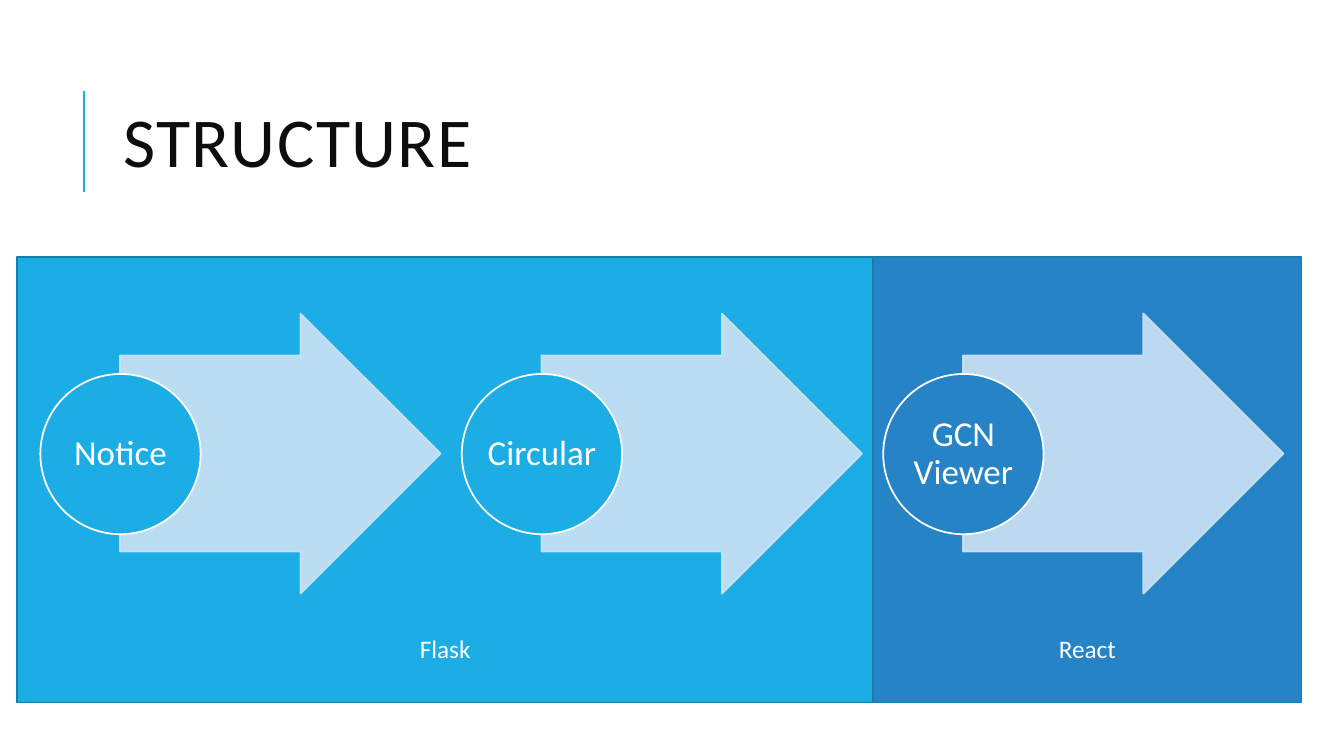
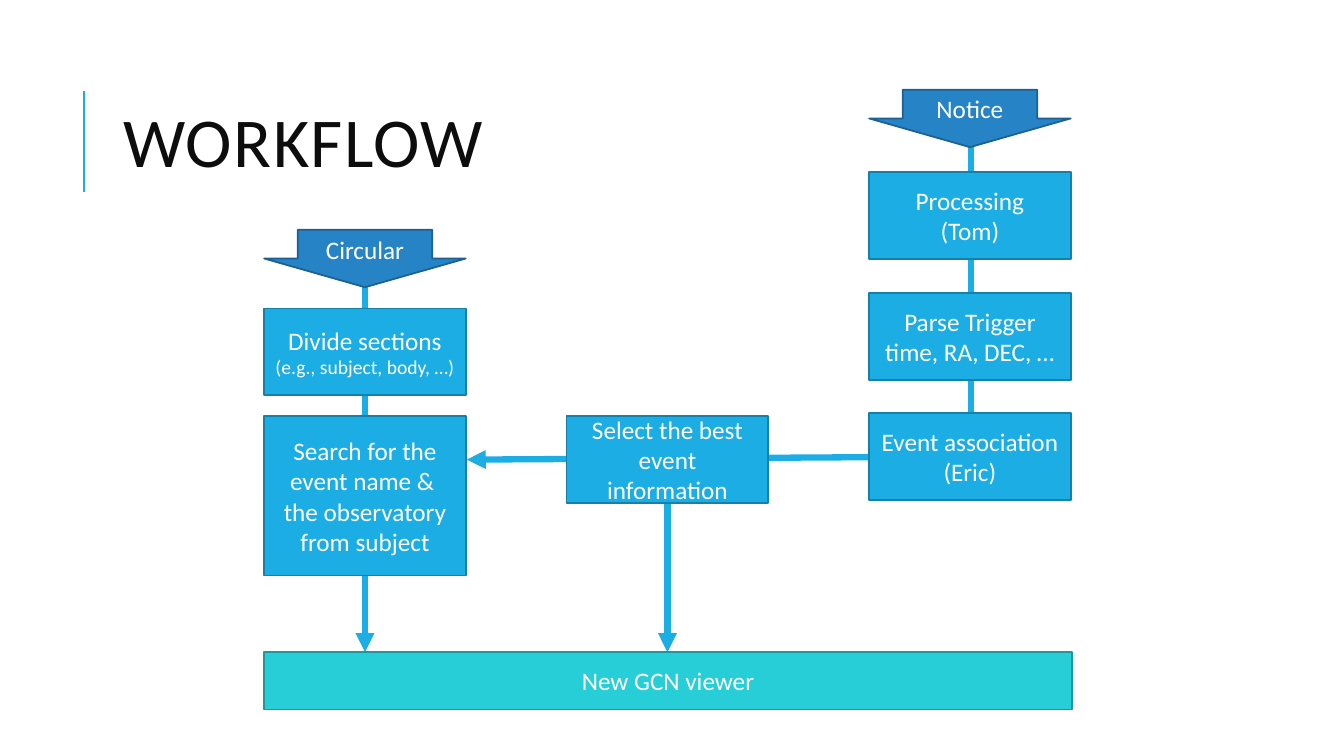
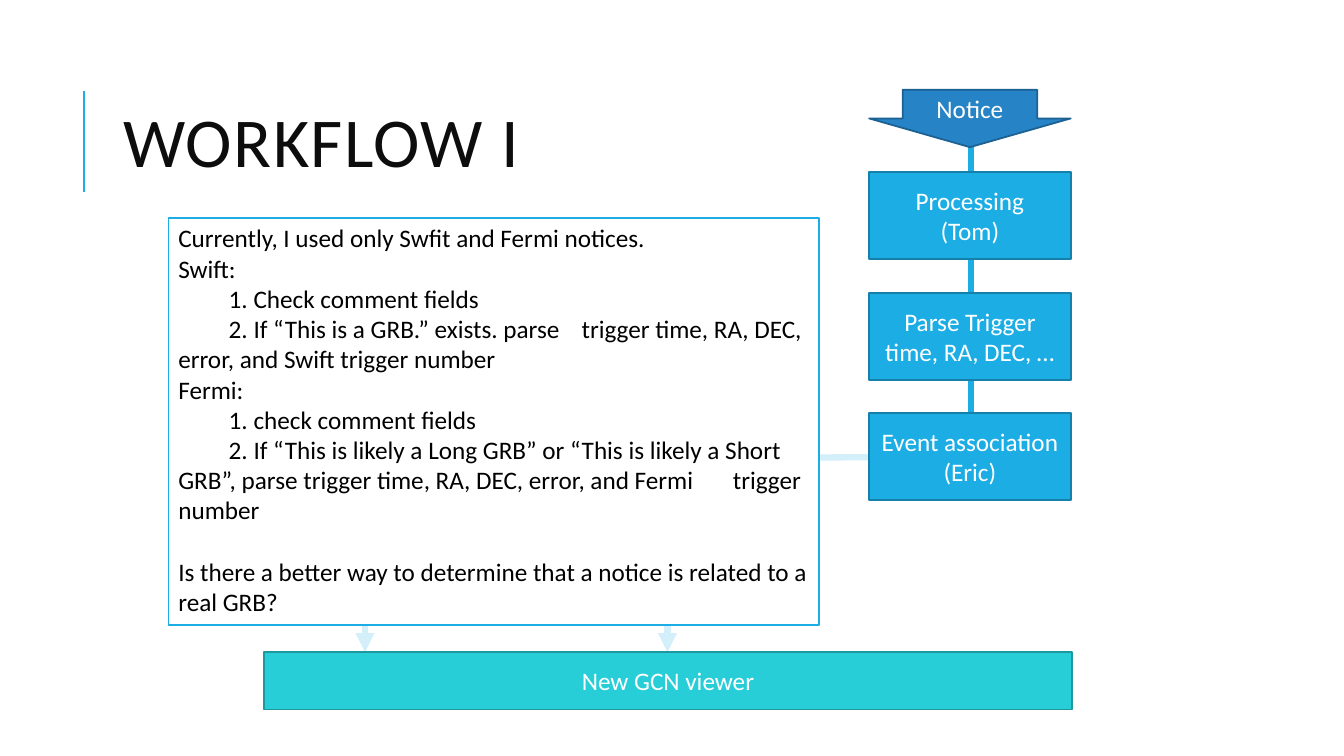
from lxml import etree
from pptx import Presentation
from pptx.dml.color import RGBColor
from pptx.enum.shapes import MSO_CONNECTOR, MSO_SHAPE
from pptx.enum.text import MSO_ANCHOR, MSO_AUTO_SIZE, PP_ALIGN
from pptx.oxml.ns import qn
from pptx.util import Inches, Pt

RECT, OVAL = MSO_SHAPE.RECTANGLE, MSO_SHAPE.OVAL
DOWN, RIGHT = MSO_SHAPE.DOWN_ARROW, MSO_SHAPE.RIGHT_ARROW
STRAIGHT = MSO_CONNECTOR.STRAIGHT
LEFT, CENTER = PP_ALIGN.LEFT, PP_ALIGN.CENTER
TOP, MIDDLE, BOTTOM = MSO_ANCHOR.TOP, MSO_ANCHOR.MIDDLE, MSO_ANCHOR.BOTTOM

COLORS = {
    "sky": "1CADE4", "edge": "1580A9", "blue": "2683C6", "navy": "1C6192",
    "teal": "27CED7", "pine": "1D989F", "ice": "CDE3F5", "pale": "D2EFFA",
    "white": "FFFFFF", "black": "000000", "ink": "0D0D0D",
}
FONT = "Calibri"

# Structure: panels (label, left, width, fill) and steps (label, fill)
PANELS = [("Flask", 0.17, 8.49, "sky"), ("React", 8.66, 4.25, "blue")]
STEPS = [("Notice", "sky"), ("Circular", "sky"), ("GCN Viewer", "blue")]

# Workflow: each column is (column, start label, start top, boxes);
# each box is (top, height, paragraphs)
NOTICE = (2, "Notice", 0.89, [
    (1.71, 0.86, ["Processing", "(Tom)"]),
    (2.91, 0.86, ["Parse Trigger time, RA, DEC, …"]),
    (4.1, 0.86, ["Event association", "(Eric)"]),
])
CIRCULAR = (0, "Circular", 2.28, [
    (3.06, 0.86, ["Divide sections", "(e.g., subject, body, …)"]),
    (4.13, 1.58, ["Search for the event name & \vthe observatory from subject"]),
])
SELECT = (1, None, None, [
    (4.13, 0.86, ["Select the best\vevent information"]),
])
SMALL = {"(e.g., subject, body, …)": 14}

# Each link is (start, end); only the notice link stays bright on the last slide
NOTICE_LINK = ((9.63, 1.46), (9.63, 4.66))
OTHER_LINKS = [
    ((9.54, 4.53), (4.63, 4.56)),
    ((3.62, 2.85), (3.62, 6.47)),
    ((6.62, 4.99), (6.62, 6.47)),
]

# Remarks: (text, indented, space before in points)
REMARKS = [
    ("Currently, I used only Swfit and Fermi notices.", False, 0),
    ("Swift:", False, 0),
    ("1. Check comment fields", True, 0),
    ("2. If “This is a GRB.” exists. parse\ttrigger time, RA, DEC, "
     "error, and Swift trigger number", True, 0),
    ("Fermi:", False, 0),
    ("1. check comment fields", True, 0),
    ("2. If “This is likely a Long GRB” or “This is likely a Short "
     "GRB”, parse trigger time, RA, DEC, error, and Fermi\ttrigger number",
     True, 0),
    ("Is there a better way to determine that a notice is related to a "
     "real GRB?", False, 22),
]

# Flow grid
COL_X, COL_GAP, COL_W, START_H = 2.62, 3, 2, 0.57
BAR = (COL_X, 6.47, 8.01, 0.57)


def rgb(name):
    return RGBColor.from_string(COLORS[name])


def style(par, size, color, align=CENTER, spacing=None):
    par.alignment = align
    par.line_spacing = spacing
    for run in par.runs:
        for key, value in {"name": FONT, "size": Pt(size)}.items():
            setattr(run.font, key, value)
        run.font.color.rgb = rgb(color)


def box(slide, kind, at, fill, edge, texts=(), size=18, color="white",
        align=CENTER, anchor=MIDDLE, spacing=None, adjust=()):
    shape = slide.shapes.add_shape(kind, *(Inches(v) for v in at))
    shape.shadow.inherit = False
    for i, value in enumerate(adjust):
        shape.adjustments[i] = value
    shape.fill.solid()
    shape.fill.fore_color.rgb = rgb(fill)
    shape.line.color.rgb = rgb(edge)
    shape.line.width = Pt(1.25)
    frame = shape.text_frame
    frame.word_wrap = True
    frame.vertical_anchor = anchor
    frame.text = "\n".join(texts)
    for par in frame.paragraphs:
        style(par, SMALL.get(par.text, size), color, align, spacing)
    return shape


def link(slide, start, end, color, width=4.5, arrow=True):
    line = slide.shapes.add_connector(
        STRAIGHT, *(Inches(v) for v in (*start, *end)))
    line.line.color.rgb = rgb(color)
    line.line.width = Pt(width)
    props = line._element.spPr
    if arrow:
        etree.SubElement(props.find(qn("a:ln")), qn("a:tailEnd"), type="triangle")
    etree.SubElement(props, qn("a:effectLst"))


def add_slide(deck, title):
    slide = deck.slides.add_slide(deck.slide_layouts[5])
    link(slide, (0.83, 1.9), (0.83, 0.9), "sky", 1.5, False)
    head = slide.shapes.title
    place = {"left": 1.12, "top": 0.64, "width": 10.63, "height": 1.64}
    for key, value in place.items():
        setattr(head, key, Inches(value))
    frame = head.text_frame
    frame.text = title
    frame.word_wrap = True
    frame.auto_size = MSO_AUTO_SIZE.NONE
    frame.vertical_anchor = MIDDLE
    par = frame.paragraphs[0]
    style(par, 50, "ink", LEFT, 0.8)
    par.runs[0]._r.get_or_add_rPr().set("spc", "100")
    return slide


def structure(deck):
    slide = add_slide(deck, "STRUCTURE")
    for label, left, width, fill in PANELS:
        panel = box(slide, RECT, (left, 2.55, width, 4.42), fill, "edge",
                    [label], anchor=BOTTOM)
        panel.text_frame.margin_bottom = Inches(0.39)
    for i, (label, fill) in enumerate(STEPS):
        left = 0.4 + 4.18 * i
        arrow = box(slide, RIGHT, (left + 0.79, 3.11, 3.18, 2.78), "ice", "ice",
                    adjust=(0.7, 0.5))
        for tint in arrow._element.spPr.iter(qn("a:srgbClr")):
            etree.SubElement(tint, qn("a:alpha"), val="90000")
        disc = box(slide, OVAL, (left, 3.71, 1.59, 1.59), fill, "white",
                   [label], size=25, spacing=0.9)
        for side in ("left", "right", "top", "bottom"):
            setattr(disc.text_frame, "margin_" + side, Inches(0.02))


def flow(deck, title, columns, faded):
    slide = add_slide(deck, title)
    for start, end in OTHER_LINKS:
        link(slide, start, end, faded)
    link(slide, *NOTICE_LINK, "sky")
    for col, label, start, boxes in columns:
        left = COL_X + COL_GAP * col
        if label:
            box(slide, DOWN, (left, start, COL_W, START_H), "blue", "navy",
                [label], adjust=(0.667, 0.5))
        for top, height, texts in boxes:
            box(slide, RECT, (left, top, COL_W, height), "sky", "edge", texts)
    box(slide, RECT, BAR, "teal", "pine", ["New GCN viewer"])
    return slide


def remarks(slide):
    note = box(slide, RECT, (1.67, 2.16, 6.45, 4.04), "white", "sky",
               [text for text, _, _ in REMARKS], color="black",
               align=LEFT, anchor=TOP)
    for par, (_, inset, before) in zip(note.text_frame.paragraphs, REMARKS):
        par.space_before = Pt(before)
        props = par._p.get_or_add_pPr()
        props.set("defTabSz", str(Inches(0.5)))
        if inset:
            props.set("marL", "0")
            props.set("indent", str(Inches(0.5)))


def main():
    deck = Presentation()
    deck.slide_width, deck.slide_height = Inches(13.33), Inches(7.5)
    structure(deck)
    flow(deck, "WORKFLOW", [CIRCULAR, NOTICE, SELECT], "sky")
    remarks(flow(deck, "WORKFLOW I", [NOTICE], "pale"))
    deck.save("out.pptx")


if __name__ == "__main__":
    main()
